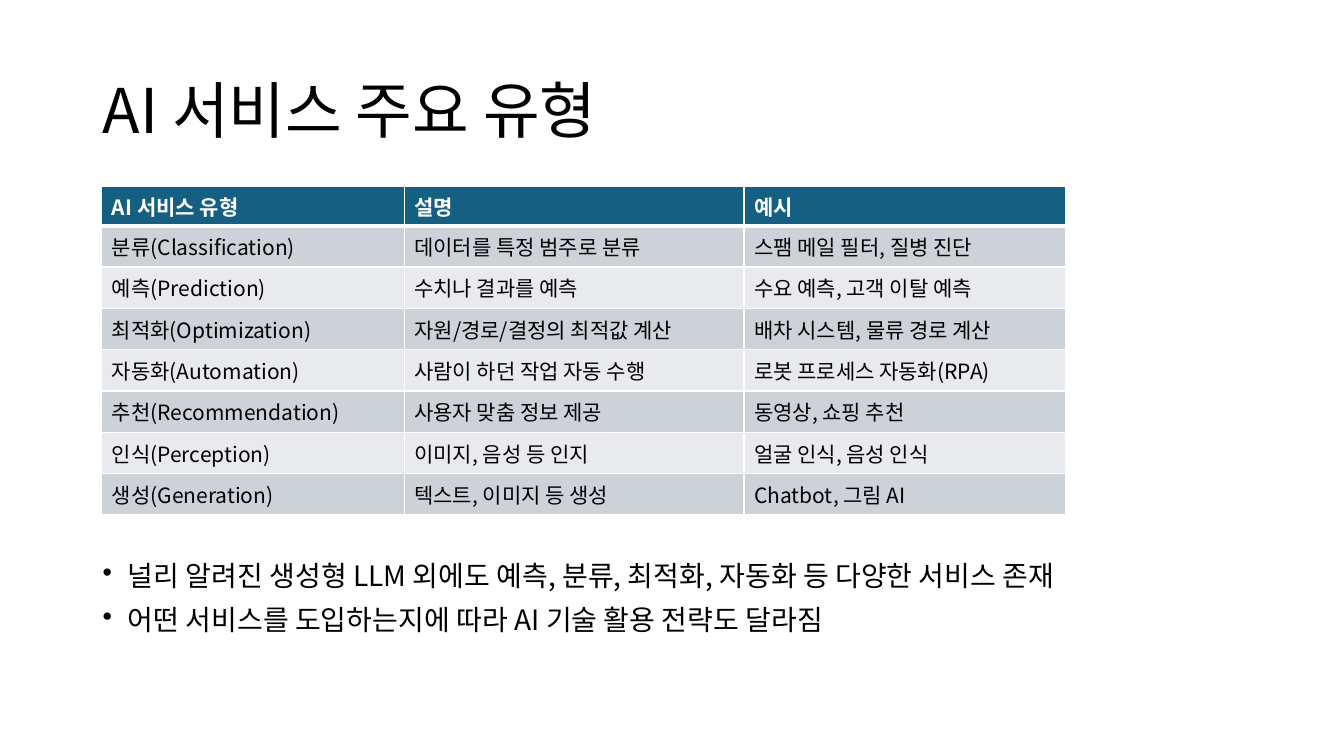
from lxml.etree import SubElement
from pptx import Presentation
from pptx.dml.color import RGBColor
from pptx.enum.text import MSO_ANCHOR
from pptx.oxml import parse_xml
from pptx.oxml.ns import nsdecls, qn
from pptx.util import Inches, Pt

TITLE = "AI 서비스 주요 유형"
SERVICE_ROWS = [
    ("AI 서비스 유형", "설명", "예시"),
    ("분류(Classification)", "데이터를 특정 범주로 분류", "스팸 메일 필터, 질병 진단"),
    ("예측(Prediction)", "수치나 결과를 예측", "수요 예측, 고객 이탈 예측"),
    ("최적화(Optimization)", "자원/경로/결정의 최적값 계산", "배차 시스템, 물류 경로 계산"),
    ("자동화(Automation)", "사람이 하던 작업 자동 수행", "로봇 프로세스 자동화(RPA)"),
    ("추천(Recommendation)", "사용자 맞춤 정보 제공", "동영상, 쇼핑 추천"),
    ("인식(Perception)", "이미지, 음성 등 인지", "얼굴 인식, 음성 인식"),
    ("생성(Generation)", "텍스트, 이미지 등 생성", "Chatbot, 그림 AI"),
]
TAKEAWAYS = [
    "널리 알려진 생성형 LLM 외에도 예측, 분류, 최적화, 자동화 등 다양한 서비스 존재",
    "어떤 서비스를 도입하는지에 따라 AI 기술 활용 전략도 달라짐",
]


def color(value):
    return RGBColor.from_string(value)


class SlideBuilder:
    """Holds the style and the current slide, and adds its elements."""

    font_name = "Noto Sans CJK KR"
    text_color = "000000"
    header_text = border_color = "FFFFFF"
    header_fill = "156082"
    band_fills = ("E8EAED", "CCD2D8")

    def __init__(self, slide):
        self.slide = slide

    def style(self, paragraph, size, text_color, bold=False):
        font = paragraph.font
        font.size = Pt(size)
        font.bold = bold
        font.color.rgb = color(text_color)
        font.name = self.font_name
        SubElement(font._rPr, qn("a:ea"), typeface=self.font_name)

    def bullet(self, paragraph):
        properties = paragraph._p.get_or_add_pPr()
        properties.set("marL", str(Inches(0.25)))
        properties.set("indent", str(Inches(-0.25)))
        mark = parse_xml(f'<a:buChar {nsdecls("a")} char="•"/>')
        properties.find(qn("a:defRPr")).addprevious(mark)

    def text(self, box, lines, size, anchor=MSO_ANCHOR.TOP, space_before=0, bulleted=False):
        shape = self.slide.shapes.add_textbox(*map(Inches, box))
        frame = shape.text_frame
        frame.word_wrap = True
        frame.vertical_anchor = anchor
        frame.text = "\n".join(lines)
        for paragraph in frame.paragraphs:
            paragraph.line_spacing = 0.9
            paragraph.space_before = Pt(space_before)
            self.style(paragraph, size, self.text_color)
            if bulleted:
                self.bullet(paragraph)

    def borders(self, cell, widths):
        properties = cell._tc.get_or_add_tcPr()
        for position, (side, width) in enumerate(widths.items()):
            properties.insert(position, parse_xml(
                f'<a:ln{side} {nsdecls("a")} w="{Pt(width)}"><a:solidFill>'
                f'<a:srgbClr val="{self.border_color}"/></a:solidFill></a:ln{side}>'))

    def table(self, box, rows, column_widths, header_height, row_height):
        shape = self.slide.shapes.add_table(len(rows), len(column_widths), *map(Inches, box))
        table = shape.table
        for column, width in zip(table.columns, column_widths):
            column.width = Inches(width)
        for index, values in enumerate(rows):
            header = index == 0
            table.rows[index].height = Inches(header_height if header else row_height)
            for cell, value in zip(table.rows[index].cells, values):
                cell.text = value
                cell.vertical_anchor = MSO_ANCHOR.TOP if header else MSO_ANCHOR.MIDDLE
                cell.fill.solid()
                cell.fill.fore_color.rgb = color(
                    self.header_fill if header else self.band_fills[index % 2])
                self.style(cell.text_frame.paragraphs[0], 15,
                           self.header_text if header else self.text_color, header)
                self.borders(cell, {"L": 1, "R": 1, "T": 3 if index == 1 else 1,
                                    "B": 3 if header else 1})


def main():
    presentation = Presentation()
    presentation.slide_width = Inches(13.33)
    presentation.slide_height = Inches(7.5)
    builder = SlideBuilder(presentation.slides.add_slide(presentation.slide_layouts[6]))
    builder.text((0.92, 0.4, 11.5, 1.45), [TITLE], 44, MSO_ANCHOR.MIDDLE)
    builder.text((0.92, 5.53, 11.5, 1.22), TAKEAWAYS, 20, space_before=10, bulleted=True)
    builder.table((1.01, 1.85, 9.56, 3.23), SERVICE_ROWS, (3, 3.37, 3.19), 0.39, 0.41)
    presentation.save("out.pptx")


if __name__ == "__main__":
    main()
